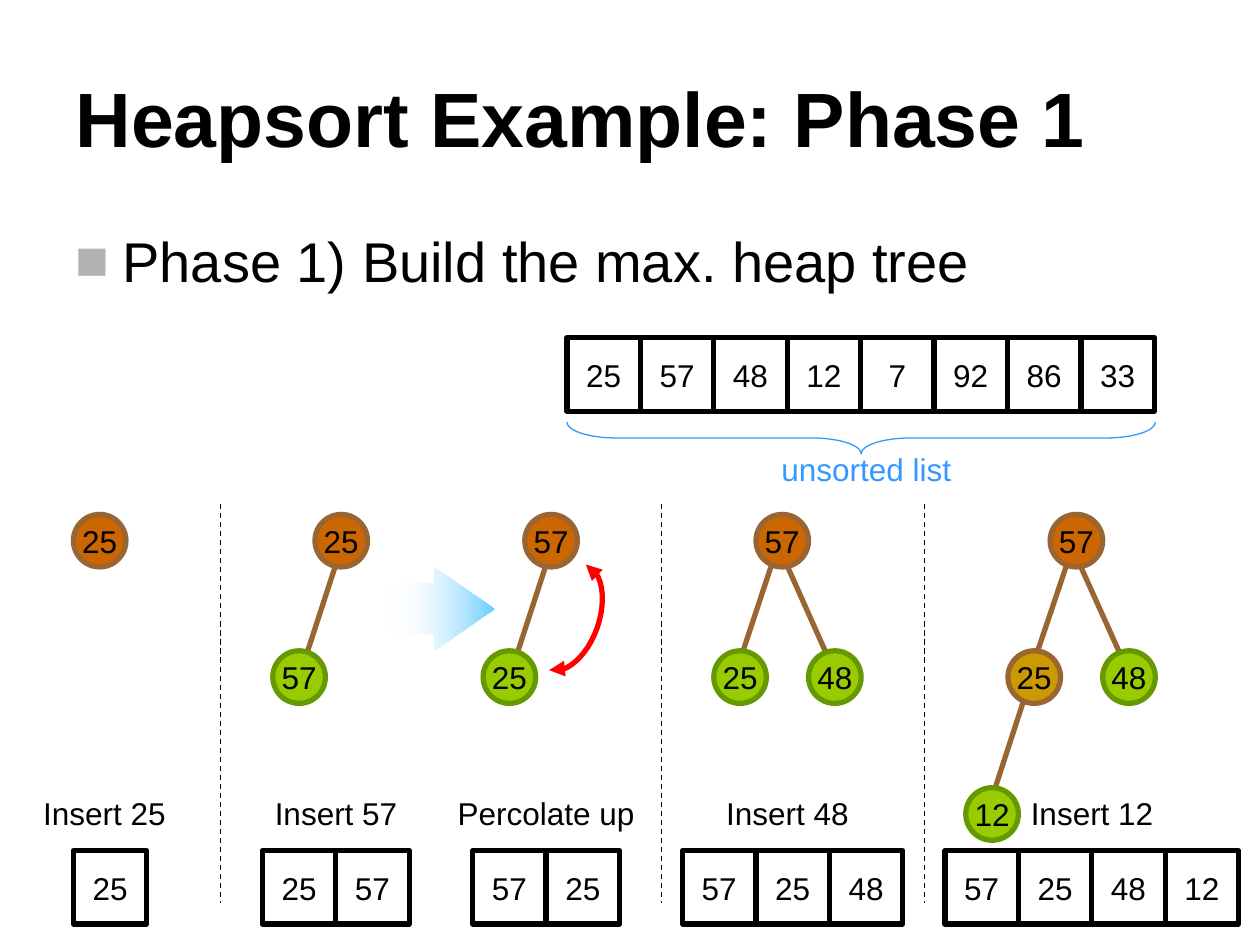
from lxml import etree
from pptx import Presentation
from pptx import util as u
from pptx.dml.color import RGBColor
from pptx.enum import dml, shapes, text
from pptx.oxml.ns import qn

BLACK = RGBColor(0, 0, 0)
WHITE = RGBColor(255, 255, 255)
GRAY = "B2B2B2"
BLUE = RGBColor(0x33, 0x99, 0xFF)
SKY = RGBColor(0x66, 0xCC, 0xFF)
RED = RGBColor(255, 0, 0)
BROWN = RGBColor(0x99, 0x66, 0x33)
RUST = RGBColor(0xCC, 0x66, 0)
GOLD = RGBColor(0xCC, 0x99, 0)
LIME = RGBColor(0x99, 0xCC, 0)
GREEN = RGBColor(0x66, 0x99, 0)
KIND = shapes.MSO_SHAPE
CELL, NODE = 1.48, 1.06
TOP, LOW, DEEP = 10.37, 13.12, 15.88

deck = Presentation()
deck.slide_width, deck.slide_height = u.Cm(25.4), u.Cm(19.05)
slide = deck.slides.add_slide(deck.slide_layouts[5])
tree = slide.shapes


def put(kind, x, y, size, fill, edge, word):
    item = tree.add_shape(kind, u.Cm(x), u.Cm(y), u.Cm(size), u.Cm(size))
    item.shadow.inherit = False
    item.fill.solid()
    item.fill.fore_color.rgb = fill
    item.line.color.rgb = edge
    item.line.width = u.Pt(3)
    frame = item.text_frame
    frame.word_wrap = False
    frame.vertical_anchor = text.MSO_ANCHOR.MIDDLE
    style(frame, word, 18, BLACK, text.PP_ALIGN.CENTER)


def style(frame, word, size, color, align):
    para = frame.paragraphs[0]
    para.text = word
    para.alignment = align
    para.font.name = "Arial"
    para.font.size = u.Pt(size)
    para.font.color.rgb = color


title = tree.title
title.left, title.top = u.Cm(1.27), u.Cm(0.76)
title.width, title.height = u.Cm(22.86), u.Cm(3.18)
title.text_frame.vertical_anchor = text.MSO_ANCHOR.MIDDLE
style(title.text_frame, "Heapsort Example: Phase 1", 44, BLACK, text.PP_ALIGN.LEFT)
title.text_frame.paragraphs[0].font.bold = True

body = tree.add_textbox(u.Cm(1.27), u.Cm(4.45), u.Cm(22.86), u.Cm(1.8)).text_frame
body.word_wrap = True
props = body.paragraphs[0]._p.get_or_add_pPr()
props.set("marL", str(u.Cm(0.95)))
props.set("indent", str(u.Cm(-0.95)))
tint = etree.SubElement(props, qn("a:buClr"))
etree.SubElement(tint, qn("a:srgbClr"), val=GRAY)
etree.SubElement(props, qn("a:buFont"), typeface="Arial")
etree.SubElement(props, qn("a:buChar"), char="■")
style(body, "Phase 1) Build the max. heap tree", 32, BLACK, text.PP_ALIGN.LEFT)

rows = [
    (11.43, 6.81, "25 57 48 12 7 92 86 33"),
    (1.48, 17.15, "25"),
    (5.29, 17.15, "25 57"),
    (9.53, 17.15, "57 25"),
    (13.76, 17.15, "57 25 48"),
    (19.05, 17.15, "57 25 48 12"),
]
for x, y, words in rows:
    for i, word in enumerate(words.split()):
        put(KIND.RECTANGLE, x + i * CELL, y, CELL, WHITE, BLACK, word)

brace = tree.add_shape(KIND.RIGHT_BRACE, u.Cm(17.04), u.Cm(2.9), u.Cm(0.64), u.Cm(11.86))
brace.rotation = 90
brace.adjustments[0] = 1.556
brace.shadow.inherit = False
brace.fill.background()
brace.line.color.rgb = BLUE
brace.line.width = u.Pt(0.75)

labels = [
    (15.24, 8.94, 4.45, "unsorted list", BLUE),
    (0.2, DEEP, 3.81, "Insert 25", BLACK),
    (4.87, DEEP, 3.81, "Insert 57", BLACK),
    (8.68, DEEP, 4.66, "Percolate up", BLACK),
    (13.97, DEEP, 3.81, "Insert 48", BLACK),
    (20.11, DEEP, 3.81, "Insert 12", BLACK),
]
for x, y, wide, word, color in labels:
    frame = tree.add_textbox(u.Cm(x), u.Cm(y), u.Cm(wide), u.Cm(1.02)).text_frame
    frame.word_wrap = True
    style(frame, word, 18, color, text.PP_ALIGN.CENTER)

lines = [(x, 10.16, x, 18.21, BLACK, 0.75) for x in (4.45, 13.34, 18.63)]
edges = [
    (6.78, 11.35, 6.2, 13.13),
    (11.02, 11.35, 10.44, 13.13),
    (15.54, 11.43, 14.96, 13.18),
    (15.88, 11.43, 16.66, 13.18),
    (21.49, 11.43, 20.9, 13.18),
    (21.79, 11.43, 22.58, 13.18),
    (20.62, 14.17, 20.04, 15.95),
]
lines += [edge + (BROWN, 3) for edge in edges]
for x, y, end, base, color, wide in lines:
    line = tree.add_connector(
        shapes.MSO_CONNECTOR.STRAIGHT, u.Cm(x), u.Cm(y), u.Cm(end), u.Cm(base))
    line.line.color.rgb = color
    line.line.width = u.Pt(wide)
    if color == BLACK:
        line.line.dash_style = dml.MSO_LINE.DASH
    etree.SubElement(line._element.spPr, qn("a:effectLst"))

nodes = [
    (1.48, TOP, RUST, BROWN, "25"),
    (6.35, TOP, RUST, BROWN, "25"),
    (10.58, TOP, RUST, BROWN, "57"),
    (15.24, TOP, RUST, BROWN, "57"),
    (21.17, TOP, RUST, BROWN, "57"),
    (5.5, LOW, LIME, GREEN, "57"),
    (9.74, LOW, LIME, GREEN, "25"),
    (14.39, LOW, LIME, GREEN, "25"),
    (16.3, LOW, LIME, GREEN, "48"),
    (20.32, LOW, GOLD, BROWN, "25"),
    (22.23, LOW, LIME, GREEN, "48"),
    (19.47, DEEP, LIME, GREEN, "12"),
]
for x, y, fill, edge, word in nodes:
    put(KIND.OVAL, x, y, NODE, fill, edge, word)

arrow = tree.add_shape(KIND.RIGHT_ARROW, u.Cm(7.85), u.Cm(11.43), u.Cm(2.12), u.Cm(1.69))
arrow.adjustments[0], arrow.adjustments[1] = 0.604, 0.724
arrow.shadow.inherit = False
arrow.line.fill.background()
arrow.fill.gradient()
arrow.fill.gradient_angle = 0
for stop, color in zip(arrow.fill.gradient_stops, (WHITE, SKY)):
    stop.color.rgb = color
clear = arrow._element.spPr.find(".//" + qn("a:srgbClr"))
etree.SubElement(clear, qn("a:alpha"), val="0")

bends = [
    ((11.07, 13.51), (11.4, 13.61), (11.84, 13.23), (12.04, 12.65)),
    ((12.04, 12.65), (12.24, 12.07), (12.14, 11.51), (11.81, 11.38)),
]
dots = []
for bend in bends:
    for i in range(1, 13):
        t = i / 12
        parts = ((1 - t) ** 3, 3 * t * (1 - t) ** 2, 3 * t * t * (1 - t), t ** 3)
        dots.append([u.Cm(sum(p * q for p, q in zip(parts, axis))) for axis in zip(*bend)])
path = tree.build_freeform(u.Cm(11.07), u.Cm(13.51))
path.add_line_segments(dots, close=False)
swap = path.convert_to_shape()
swap.shadow.inherit = False
swap.fill.background()
swap.line.color.rgb = RED
swap.line.width = u.Pt(3)
for end in ("a:headEnd", "a:tailEnd"):
    etree.SubElement(swap.line._get_or_add_ln(), qn(end), type="triangle")

deck.save("out.pptx")
